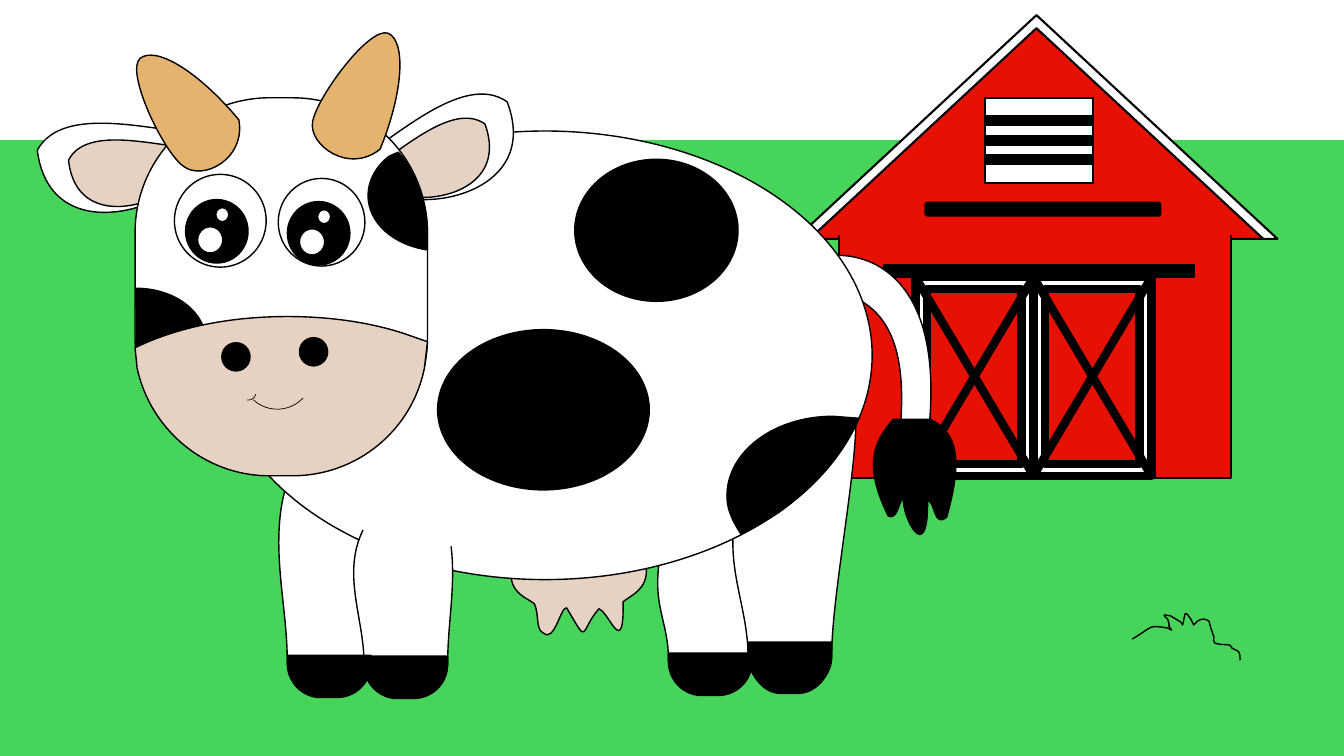
from pptx import Presentation
from pptx.dml.color import RGBColor
from pptx.enum.shapes import MSO_CONNECTOR, MSO_SHAPE
from pptx.oxml.ns import qn
from pptx.util import Inches, Pt
from lxml import etree

RECTANGLE = MSO_SHAPE.RECTANGLE
ROUNDED = MSO_SHAPE.ROUNDED_RECTANGLE
TRIANGLE = MSO_SHAPE.ISOSCELES_TRIANGLE
FRAME = MSO_SHAPE.FRAME
ELLIPSE = MSO_SHAPE.OVAL
ARC = MSO_SHAPE.ARC
STRAIGHT = MSO_CONNECTOR.STRAIGHT

BLACK = RGBColor(0x00, 0x00, 0x00)
WHITE = RGBColor(0xFF, 0xFF, 0xFF)
GRASS = RGBColor(0x47, 0xD4, 0x5A)
RED = RGBColor(0xE6, 0x11, 0x02)
PINK = RGBColor(0xE6, 0xD2, 0xC2)
HORN = RGBColor(0xE4, 0xB3, 0x6F)

COLUMNS, ROWS = 13.33, 7.5
CELL = Inches(1)
CURVE_STEPS = 16

presentation = Presentation()
presentation.slide_width = round(COLUMNS * CELL)
presentation.slide_height = round(ROWS * CELL)
slide = presentation.slides.add_slide(presentation.slide_layouts[6])


def trace(shapes, steps, closed):
    points = [steps[0]]
    for step in steps[1:]:
        if len(step) == 2:
            points.append(step)
            continue
        start, first, second, end = points[-1], step[:2], step[2:4], step[4:]
        for t in [index / CURVE_STEPS for index in range(1, CURVE_STEPS + 1)]:
            weights = (1 - t) ** 3, 3 * t * (1 - t) ** 2, 3 * t * t * (1 - t), t ** 3
            points.append([sum(w * p[axis] for w, p in zip(weights, (start, first, second, end)))
                           for axis in (0, 1)])
    vertices = [(round(x * CELL), round(y * CELL)) for x, y in points]
    builder = shapes.build_freeform(*vertices[0])
    builder.add_line_segments(vertices[1:], close=closed)
    shape = builder.convert_to_shape()

    contour = next(shape.element.iter(qn("a:path")))
    for segment in list(contour):
        contour.remove(segment)
    for index, step in enumerate(steps):
        tag = "a:moveTo" if index == 0 else "a:lnTo" if len(step) == 2 else "a:cubicBezTo"
        segment = etree.SubElement(contour, qn(tag))
        for x, y in zip(step[::2], step[1::2]):
            point = etree.SubElement(segment, qn("a:pt"))
            point.set("x", str(round(x * CELL) - shape.left))
            point.set("y", str(round(y * CELL) - shape.top))
    if closed:
        etree.SubElement(contour, qn("a:close"))
    return shape


def draw(shapes, geometry, fill, weight=1, preset=None, rotation=0, adjustment=None):
    if preset is None:
        shape = trace(shapes, geometry, fill is not None)
    else:
        shape = shapes.add_shape(preset, *[round(length * CELL) for length in geometry])
        shape.rotation = rotation
        if adjustment is not None:
            shape.adjustments[0] = adjustment
    shape.shadow.inherit = False
    if fill is None:
        shape.fill.background()
    else:
        shape.fill.solid()
        shape.fill.fore_color.rgb = fill
    if weight:
        shape.line.color.rgb = BLACK
        shape.line.width = Pt(weight)
    else:
        shape.line.fill.background()


draw(slide.shapes, (0, 1.39, COLUMNS, ROWS - 1.39), GRASS, 0, RECTANGLE)
grass_tuft = [
    (11.23, 6.34), (11.45, 6.21, 11.38, 6.2, 11.58, 6.23), (11.62, 6.25),
    (11.55, 6.14, 11.63, 6.28, 11.58, 6.14), (11.57, 6.13, 11.54, 6.11, 11.55, 6.1),
    (11.61, 6.11), (11.71, 6.17), (11.73, 6.2), (11.76, 6.08, 11.74, 6.04, 11.81, 6.14),
    (11.84, 6.2), (11.88, 6.16), (11.93, 6.13, 11.95, 6.14, 11.99, 6.16), (12.01, 6.23),
    (12.04, 6.32), (12.04, 6.34, 12.03, 6.37, 12.05, 6.38), (12.1, 6.4, 12.15, 6.39, 12.2, 6.4),
    (12.22, 6.43), (12.28, 6.46), (12.3, 6.48, 12.3, 6.52, 12.3, 6.55)]
draw(slide.shapes, grass_tuft, None)

barn = slide.shapes.add_group_shape().shapes
draw(barn, (7.89, 0.15, 4.78, 2.22), WHITE, 1.5, TRIANGLE)
draw(barn, (8.03, 0.28, 4.5, 2.09), RED, 1.5, TRIANGLE)
draw(barn, (8.32, 2.28, 3.89, 2.46), RED, 1.5, RECTANGLE)
draw(barn, (8.77, 2.63, 3.07, 0.12), BLACK, 1.5, RECTANGLE)

DOOR_TOP, DOOR_WIDTH, DOOR_HEIGHT = 2.75, 1.17, 1.97
for door in range(2):
    left = 9.08 + door * DOOR_WIDTH
    right, bottom = left + DOOR_WIDTH, DOOR_TOP + DOOR_HEIGHT
    draw(barn, (left, DOOR_TOP, DOOR_WIDTH, DOOR_HEIGHT), WHITE, 6, FRAME, adjustment=0.1)
    for start, end in ((right, left), (left, right)):
        ends = [round(length * CELL) for length in (start, DOOR_TOP, end, bottom)]
        brace = barn.add_connector(STRAIGHT, *ends)
        brace.line.color.rgb = BLACK
        brace.line.width = Pt(6)
        etree.SubElement(brace.element.spPr, qn("a:effectLst"))

draw(barn, (9.18, 2.01, 2.33, 0.13), BLACK, 1.5, ROUNDED)
draw(barn, (9.77, 0.97, 1.07, 0.85), WHITE, 1.5, RECTANGLE)
for slat in range(3):
    draw(barn, (9.77, 1.15 + slat * 0.195, 1.07, 0.09), BLACK, 1.5, RECTANGLE)
draw(barn, (8.29, 2.2, 3.96, 0.13), RED, 0, ROUNDED)

cow = slide.shapes.add_group_shape().shapes
udder = [
    (5.94, 6.04), (5.74, 6.27, 5.85, 6.42, 5.62, 6.03), (5.56, 6.02, 5.5, 6.38, 5.39, 6.28),
    (5.31, 6.25, 5.35, 6.09, 5.3, 5.99), (5.23, 5.93, 5.05, 5.89, 5.07, 5.66), (5.19, 5.27),
    (5.55, 5.42, 6.05, 5.41, 6.36, 5.25), (6.41, 5.63), (6.43, 5.85, 6.25, 5.91, 6.18, 5.97),
    (6.19, 6.55, 6.04, 6.07, 5.94, 6.04)]
near_hind_leg = [
    (6.63, 5.2), (6.63, 5.02, 6.78, 4.87, 6.96, 4.87), (7.12, 4.87),
    (7.31, 4.87, 7.46, 5.02, 7.46, 5.2), (7.46, 6.54), (7.46, 6.72, 7.31, 6.87, 7.12, 6.87),
    (6.96, 6.87), (6.78, 6.87, 6.63, 6.72, 6.63, 6.54), (6.63, 6.09, 6.39, 5.95, 6.63, 5.2)]
far_hind_leg = [
    (7.42, 4.74), (7.42, 4.55, 7.57, 4.4, 7.76, 4.4), (7.92, 4.4),
    (8.1, 4.4, 8.21, 3.84, 8.21, 4.03), (8.82, 3.23, 8.24, 5.68, 8.25, 6.51),
    (8.25, 6.7, 8.1, 6.85, 7.92, 6.85), (7.76, 6.85), (7.57, 6.85, 7.42, 6.7, 7.42, 6.51),
    (7.42, 5.92, 7.08, 5.46, 7.42, 4.74)]
tail = [(7.61, 2.55), (8.07, 3.05, 9.11, 2.56, 8.92, 4.35), (9.21, 4.29),
        (9.45, 2.04, 7.75, 2.52, 7.95, 2.71), (7.61, 2.71)]
tail_brush = [
    (8.86, 4.16), (9.23, 4.16), (9.5, 4.3, 9.55, 4.56, 9.39, 5.13),
    (9.26, 5.24, 9.28, 4.99, 9.2, 4.96), (9.21, 5.64, 8.94, 5.13, 8.96, 4.93),
    (8.91, 5, 8.9, 5.16, 8.81, 5.12), (8.57, 4.63, 8.65, 4.4, 8.86, 4.16)]
far_front_leg = [
    (2.85, 4.78), (2.85, 4.6, 3, 4.45, 3.19, 4.45), (3.35, 4.45),
    (3.53, 4.45, 3.68, 4.6, 3.68, 4.78), (3.68, 6.56), (3.68, 6.75, 3.53, 6.9, 3.35, 6.9),
    (3.19, 6.9), (3, 6.9, 2.85, 6.75, 2.85, 6.56), (2.85, 5.97, 2.66, 5.38, 2.85, 4.78)]
left_ear = [(0.37, 1.49), (0.63, 1.01, 1.58, 1.32, 2.06, 1.33), (1.56, 1.98),
            (1.13, 2.19, 0.46, 2.21, 0.37, 1.49)]
left_inner_ear = [(0.68, 1.59), (0.86, 1.23, 1.58, 1.46, 1.94, 1.47), (1.56, 1.95),
                  (1.24, 2.11, 0.74, 2.13, 0.68, 1.59)]
for outline, color in (
        (udder, PINK), (near_hind_leg, WHITE), (far_hind_leg, WHITE), (tail, WHITE),
        (tail_brush, BLACK), (far_front_leg, WHITE), (left_ear, WHITE), (left_inner_ear, PINK)):
    draw(cow, outline, color)
draw(cow, (2.16, 1.3, 6.49, 4.45), WHITE, preset=ELLIPSE)

right_ear = [(5.03, 1.01), (4.59, 0.7, 3.88, 1.41, 3.46, 1.64), (4.21, 1.98),
             (4.68, 1.98, 5.29, 1.69, 5.03, 1.01)]
right_inner_ear = [(4.81, 1.23), (4.48, 1, 3.95, 1.53, 3.64, 1.7), (4.19, 1.96),
                   (4.55, 1.96, 5, 1.75, 4.81, 1.23)]
near_front_leg = [
    (3.61, 5.24), (3.61, 5.05, 3.76, 4.9, 3.94, 4.9), (4.1, 4.9),
    (4.29, 4.9, 4.44, 5.05, 4.44, 5.24), (4.55, 5.68, 4.44, 6.13, 4.44, 6.57),
    (4.44, 6.76, 4.29, 6.91, 4.1, 6.91), (3.94, 6.91), (3.76, 6.91, 3.61, 6.76, 3.61, 6.57),
    (3.61, 6.13, 3.38, 5.68, 3.61, 5.24)]
for outline, color in ((right_ear, WHITE), (right_inner_ear, PINK), (near_front_leg, WHITE)):
    draw(cow, outline, color)

for left, top, depth in ((6.63, 6.48, 0.42), (7.42, 6.37, 0.51), (2.85, 6.5, 0.42), (3.61, 6.51, 0.42)):
    right, bottom = left + 0.83, top + depth
    side, bend = top + 0.2 * depth, top + 0.64 * depth
    hoof = [
        (left, top), (right, top), (right, side),
        (right, bend, right - 0.15, bottom, right - 0.34, bottom), (left + 0.33, bottom),
        (left + 0.15, bottom, left, bend, left, side)]
    draw(cow, hoof, BLACK)

for patch in ((5.7, 1.58, 1.62, 1.41), (4.34, 3.27, 2.1, 1.59)):
    draw(cow, patch, BLACK, preset=ELLIPSE)
draw(cow, (1.34, 0.97, 2.9, 3.72), WHITE, preset=ROUNDED, adjustment=0.461)

left_horn = [(1.82, 1.65), (1.62, 1.51, 1.24, 0.71, 1.39, 0.58),
             (1.55, 0.45, 1.98, 0.72, 2.37, 1.19), (2.44, 1.58, 2.01, 1.8, 1.82, 1.65)]
right_horn = [(3.1, 1.21), (3.14, 0.97, 3.66, 0.26, 3.85, 0.33),
              (4.03, 0.41, 4, 0.92, 3.77, 1.48), (3.46, 1.73, 3.06, 1.44, 3.1, 1.21)]
brow_patch = [(3.95, 1.51), (4.01, 1.58), (4.15, 1.79, 4.24, 2.05, 4.24, 2.33), (4.24, 2.48),
              (3.9, 2.43, 3.65, 2.21, 3.65, 1.94), (3.65, 1.79, 3.73, 1.65, 3.86, 1.55)]
cheek_patch = [(1.35, 2.86), (1.74, 2.86, 2.05, 3.1, 2.05, 3.41),
               (2.05, 3.67, 1.81, 3.89, 1.49, 3.94), (1.45, 3.89), (1.38, 3.73, 1.35, 3.55, 1.35, 3.37)]
muzzle = [
    (2.85, 3.14), (3.28, 3.14, 3.68, 3.2, 4.01, 3.31), (4.24, 3.39), (4.21, 3.65),
    (4.09, 4.26, 3.55, 4.72, 2.9, 4.72), (2.67, 4.72), (2.03, 4.72, 1.49, 4.26, 1.36, 3.65),
    (1.34, 3.45), (1.75, 3.25, 2.27, 3.14, 2.85, 3.14)]
rump_patch = [(8.26, 4.13), (8.52, 4.15), (8.34, 4.54, 8.06, 4.85, 7.7, 5.1), (7.35, 5.3),
              (7.24, 5.13, 7.21, 5.03, 7.21, 4.92), (7.21, 4.48, 7.68, 4.13, 8.26, 4.13)]
for outline, color in ((left_horn, HORN), (right_horn, HORN), (brow_patch, BLACK),
                       (cheek_patch, BLACK), (muzzle, PINK), (rump_patch, BLACK)):
    draw(cow, outline, color)

for eyeball, x, y in (((2.76, 1.77, 0.86, 0.87), 2.85, 2), ((1.73, 1.73, 0.91, 0.92), 1.84, 1.98)):
    draw(cow, eyeball, WHITE, preset=ELLIPSE)
    draw(cow, (x, y, 0.62, 0.63), BLACK, preset=ELLIPSE)
    draw(cow, (x + 0.12, y + 0.27, 0.25, 0.26), WHITE, preset=ELLIPSE)
    draw(cow, (x + 0.3, y + 0.08, 0.13, 0.14), WHITE, preset=ELLIPSE)
for nostril in ((2.97, 3.35, 0.28, 0.28), (2.2, 3.4, 0.28, 0.28)):
    draw(cow, nostril, BLACK, preset=ELLIPSE)

draw(cow, (2.4, 3.36, 0.7, 0.7), None, 0.5, ARC, rotation=132.7)
draw(cow, (2.39, 3.82, 0.15, 0.15), None, 0.5, ARC, rotation=101.4)
draw(cow, (3.49, 4.84, 1.16, 0.61), WHITE, 0, ELLIPSE, rotation=11)

presentation.save("out.pptx")
